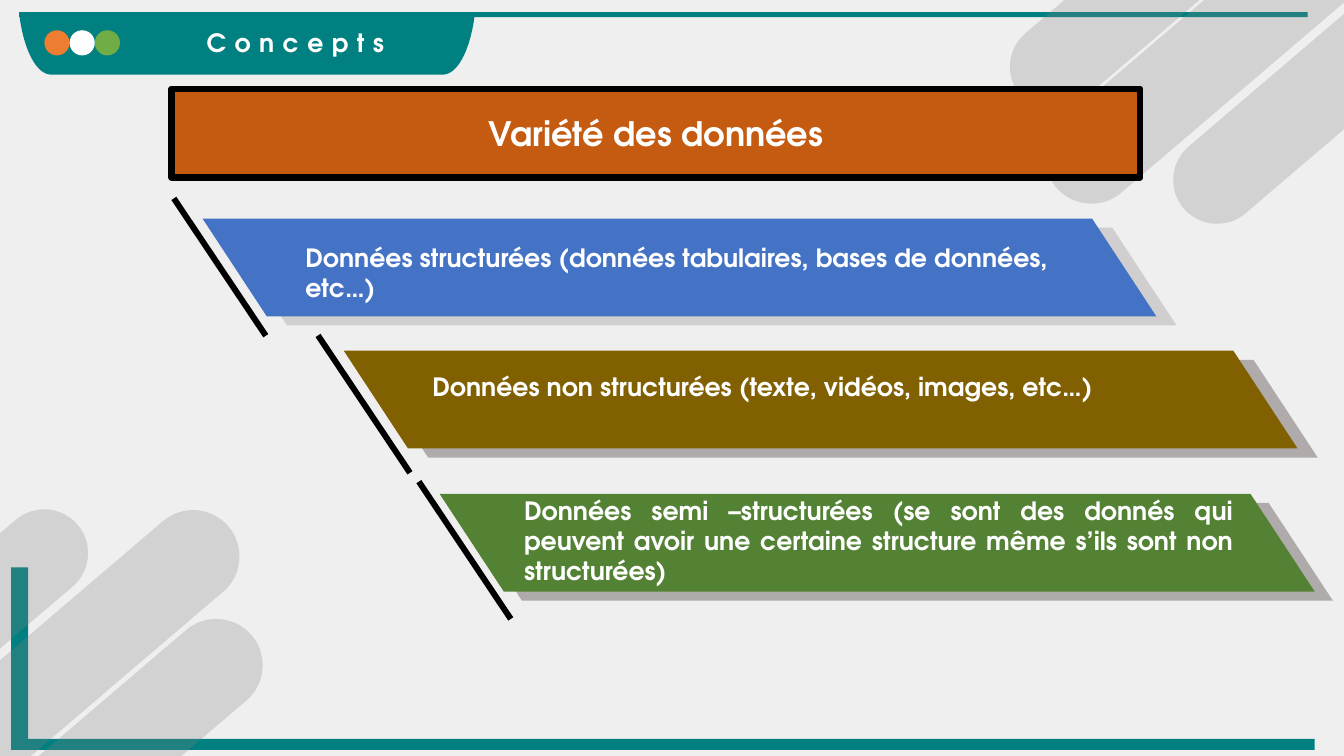
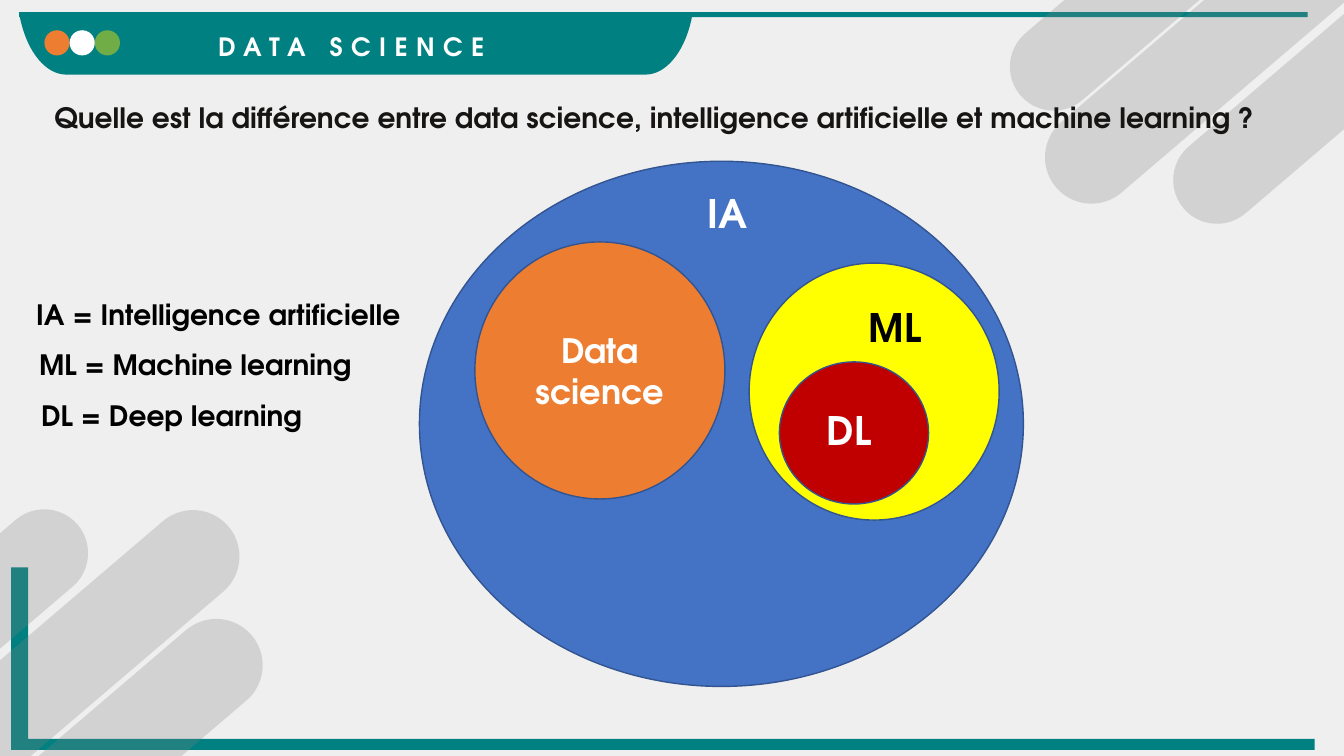
from lxml import etree
from pptx import Presentation
from pptx import util as u
from pptx.dml.color import RGBColor
from pptx.enum import shapes, text
from pptx.oxml import ns

SCALE = 9144
FONT = "TeX Gyre Adventor"
KIND = shapes.MSO_SHAPE
ALIGN = text.PP_ALIGN
ANCHOR = text.MSO_ANCHOR
COLORS = {
    "paper": "F0EFEF", "teal": "008080", "gray": "808080", "white": "FFFFFF",
    "black": "000000", "ink": "161513", "orange": "ED7D31", "lime": "70AD47",
    "rust": "C55A11", "blue": "4472C4", "olive": "806000", "green": "548235",
    "light": "D0CECE", "dim": "AFABAB", "yellow": "FFFF00", "red": "C00000",
    "navy": "325491",
}
PILLS = [
    (-232, 591, 351, 87), (-196, 632, 480, 92), (-173, 740, 480, 92),
    (970, -63, 351, 87), (990, -16, 480, 92), (1109, -13, 543, 87),
]


def px(value):
    """Turn px into EMU."""
    return round(value * SCALE)


def rgb(name):
    """Look up a named colour."""
    return RGBColor.from_string(COLORS[name])


def paint(shape, color, line=None, width=1):
    """Give a shape a flat fill and an optional outline."""
    shape.shadow.inherit = False
    shape.fill.solid()
    shape.fill.fore_color.rgb = rgb(color)
    if line:
        shape.line.color.rgb = rgb(line)
        shape.line.width = u.Pt(width)
    else:
        shape.line.fill.background()
    return shape


def put(page, kind, box, color, line=None, width=1):
    """Add a painted preset shape."""
    shape = page.shapes.add_shape(kind, *map(px, box))
    return paint(shape, color, line, width)


def outline(page, points, color):
    """Add a closed, painted polygon."""
    spots = [(px(x), px(y)) for x, y in points]
    builder = page.shapes.build_freeform(*spots[0], scale=1.0)
    builder.add_line_segments(spots[1:], close=True)
    return paint(builder.convert_to_shape(), color)


def write(frame, words, size, color, align=ALIGN.LEFT, anchor=ANCHOR.TOP):
    """Write one bold paragraph and return its run."""
    frame.word_wrap = True
    frame.auto_size = text.MSO_AUTO_SIZE.NONE
    frame.vertical_anchor = anchor
    para = frame.paragraphs[0]
    para.alignment = align
    span = para.add_run()
    span.text = words
    span.font.name = FONT
    span.font.size = u.Pt(size)
    span.font.bold = True
    span.font.color.rgb = rgb(color)
    return span


def label(page, box, words, size, color, align=ALIGN.LEFT):
    """Add a text box."""
    shape = page.shapes.add_textbox(*map(px, box))
    write(shape.text_frame, words, size, color, align)


def curve(start, pull, push, end, steps=16):
    """List points along a cubic curve."""
    points = []
    for step in range(steps + 1):
        t = step / steps
        weights = ((1 - t) ** 3, 3 * t * (1 - t) ** 2, 3 * t * t * (1 - t), t ** 3)
        points.append(tuple(
            sum(w * spot[axis] for w, spot in zip(weights, (start, pull, push, end)))
            for axis in (0, 1)))
    return points


def band(page, box):
    """Draw the title band with rounded lower corners and its dots."""
    left, top, width, height = box
    right_side = curve((0.93, 1), (0.96, 1), (0.987, 0.65), (0.998, 0.13)) + [(1, 0)]
    left_side = [(1 - x, y) for x, y in reversed(right_side)]
    points = [(left + x * width, top + y * height) for x, y in right_side + left_side]
    outline(page, points, "teal")
    put(page, KIND.RECTANGLE, (left, top, 1278, 5), "teal")
    for index, color in enumerate(("orange", "white", "lime")):
        put(page, KIND.OVAL, (left + 25 + 25 * index, top + 18, 25, 25), color)


def corner(page, box):
    """Draw the L-shaped frame along the left and bottom edges."""
    left, top, width, height = box
    right, bottom = left + width, top + height
    outline(page, [(left, top), (left + 17, top), (left + 17, bottom - 11),
                   (right, bottom - 11), (right, bottom), (left, bottom)], "teal")


def pill(page, box):
    """Draw one translucent slanted pill."""
    shape = put(page, KIND.ROUNDED_RECTANGLE, box, "gray")
    shape.adjustments[0] = 0.5
    shape.rotation = 319.5
    tint = shape.element.spPr.find(ns.qn("a:solidFill"))[0]
    etree.SubElement(tint, ns.qn("a:alpha")).set("val", "26000")


def start_page(deck, words, band_width, title_box):
    """Add a page with its background, band, decoration and title."""
    page = deck.slides.add_slide(deck.slide_layouts[5])
    page.background.fill.solid()
    page.background.fill.fore_color.rgb = rgb("paper")
    band(page, (19, 12, band_width, 62))
    corner(page, (11, 563, 1293, 181))
    for box in PILLS:
        pill(page, box)
    title = page.shapes.title
    title.left, title.top, title.width, title.height = map(px, title_box)
    span = write(title.text_frame, words, 18, "white", ALIGN.CENTER)
    span.font._element.set("spc", "600")
    title.element.getparent().append(title.element)
    return page


def ribbon(page, box, color, shade, shift, rail, words, inset, align=ALIGN.LEFT):
    """Draw a slanted bar with its shade, side rail and text."""
    left, top, width, height = box
    for x, y, fill in ((left + shift, top + 9, shade), (left, top, color)):
        bar = put(page, KIND.PARALLELOGRAM, (x, y, width, height), fill)
        bar.adjustments[0] = 0.657
        bar.element.spPr.get_or_add_xfrm().set("flipV", "1")
    edge = put(page, KIND.RECTANGLE, (left + rail[0], top + rail[1], 164, 6), "black")
    edge.rotation = 56.2
    x, y, text_width, text_height = inset
    label(page, (left + x, top + y, text_width, text_height), words, 18, "white", align)


def variety_page(deck):
    """Build the page on the variety of data."""
    page = start_page(deck, "Concepts", 452, (120, 22, 346, 40))
    heading = put(page, KIND.RECTANGLE, (170, 88, 961, 88), "rust", "black", 4.5)
    write(heading.text_frame, "Variété des données", 24, "white",
          ALIGN.CENTER, ANCHOR.MIDDLE)
    ribbon(page, (201, 217, 946, 97), "blue", "light", 20, (-65, 45),
           "Données structurées (données tabulaires, bases de données, etc…)",
           (92, 18, 772, 71))
    ribbon(page, (341, 348, 946, 97), "olive", "dim", 20, (-62, 50),
           "Données non structurées (texte, vidéos, images, etc…)",
           (78, 15, 830, 40))
    ribbon(page, (436, 490, 868, 97), "green", "dim", 18, (-57, 53),
           "Données semi –structurées (se sont des donnés qui peuvent avoir "
           "une certaine structure même s’ils sont non structurées)",
           (74, -4, 723, 101), ALIGN.JUSTIFY)


def venn(page, box):
    """Draw the nested fields inside the given box."""
    left, top, width, height = box
    put(page, KIND.OVAL, box, "blue", "navy")
    science = put(page, KIND.OVAL, (left + 55, top + 80, 248, 255), "orange", "navy")
    write(science.text_frame, "Data science", 24, "white", ALIGN.CENTER, ANCHOR.MIDDLE)
    put(page, KIND.OVAL, (left + 327, top + 101, 248, 255), "yellow", "navy")
    put(page, KIND.OVAL, (left + 357, top + 199, 148, 141), "red", "navy")
    for x, y, words, color in ((276, 23, "IA", "white"), (436, 136, "ML", "black"),
                               (394, 238, "DL", "white")):
        label(page, (left + x, top + y, 82, 57), words, 28, color)


def legend(page, box):
    """List the abbreviations, one line each."""
    left, top, width, height = box
    lines = ((0, "IA = Intelligence artificielle"), (3, "ML = Machine learning"),
             (5, "DL = Deep learning"))
    for index, (indent, words) in enumerate(lines):
        label(page, (left + indent, top + 50 * index, width, height), words, 20, "black")


def fields_page(deck):
    """Build the page that compares the fields."""
    page = start_page(deck, "DATA SCIENCE", 668, (114, 26, 469, 40))
    venn(page, (416, 160, 599, 521))
    legend(page, (26, 290, 474, 44))
    label(page, (44, 95, 1244, 44),
          "Quelle est la différence entre data science, intelligence artificielle "
          "et machine learning ?", 20, "ink")


def main():
    """Build and save the deck."""
    deck = Presentation()
    deck.slide_width, deck.slide_height = u.Inches(13.33), u.Inches(7.5)
    variety_page(deck)
    fields_page(deck)
    deck.save("out.pptx")


if __name__ == "__main__":
    main()
